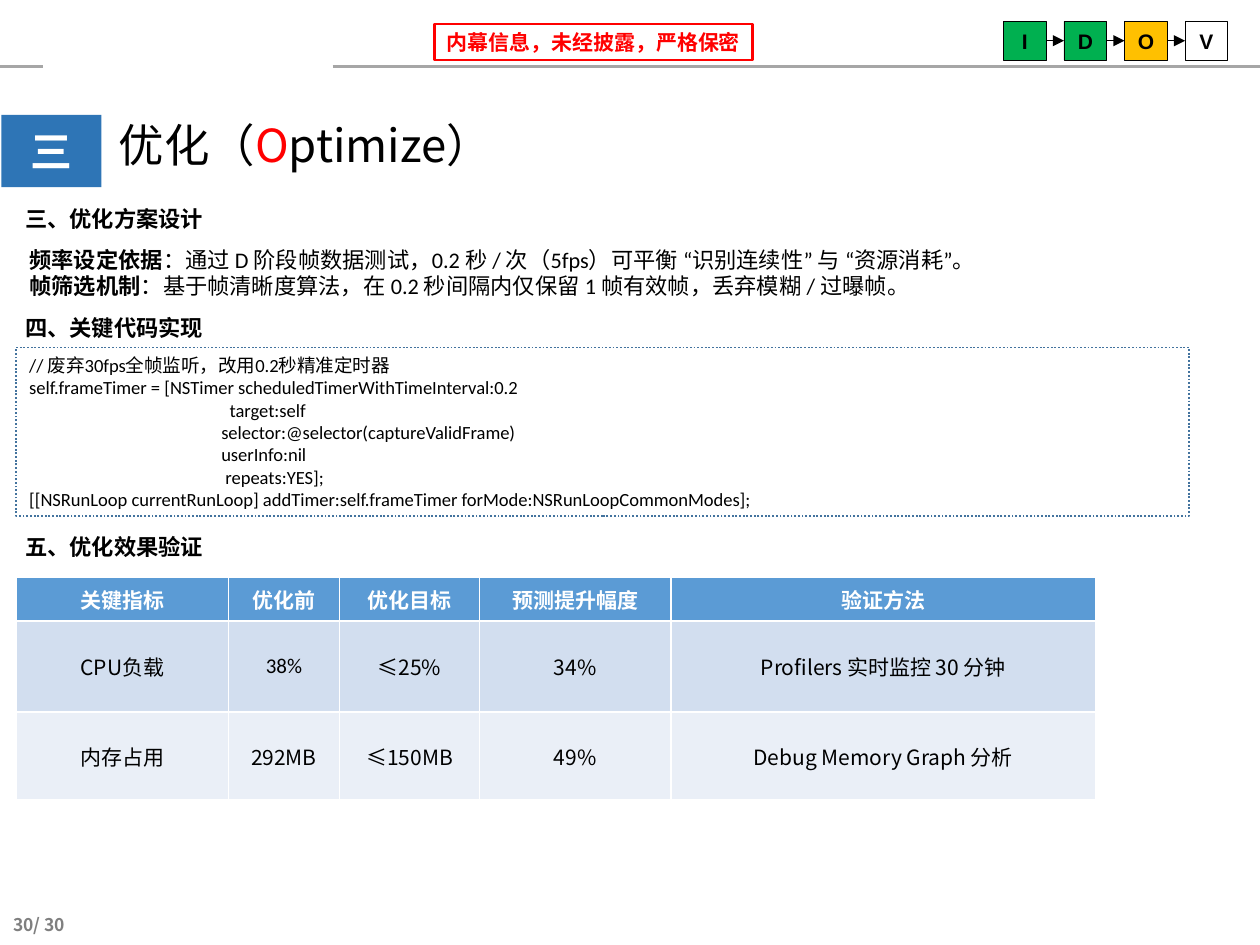
from lxml import etree
from pptx import Presentation
from pptx import util as u
from pptx.dml.color import RGBColor
from pptx.enum import dml, shapes, text
from pptx.oxml.ns import qn

COLUMNS, ROWS = 94.3, 70.7  # grid cells of a tenth of an inch
SANS, BODY, LABEL = "Noto Sans CJK SC", "Calibri", "Arial"
BLACK, WHITE, RED, GREY = "000000", "FFFFFF", "FF0000", "A6A6A6"
CENTER, LEFT = text.PP_ALIGN.CENTER, text.PP_ALIGN.LEFT
MIDDLE, TOP = text.MSO_ANCHOR.MIDDLE, text.MSO_ANCHOR.TOP


def color(value):
    return RGBColor.from_string(value)


def grid(cells):
    return u.Inches(cells / 10)


class SlideBuilder:
    def __init__(self, presentation):
        presentation.slide_width = grid(COLUMNS)
        presentation.slide_height = grid(ROWS)
        self.slide = presentation.slides.add_slide(presentation.slide_layouts[1])

    def fill_text(self, frame, lines, size, font=BODY, ink=BLACK, bold=False,
                  align=LEFT, anchor=TOP, spacing=1.0):
        """Fill a frame; a line is a string or a list of (text, overrides) runs."""
        frame.word_wrap = True
        frame.auto_size = text.MSO_AUTO_SIZE.NONE
        frame.vertical_anchor = anchor
        for index, line in enumerate(lines):
            paragraph = frame.paragraphs[0] if index == 0 else frame.add_paragraph()
            self.style(paragraph, size, font, ink, bold, align, spacing)
            for content, changes in [(line, {})] if isinstance(line, str) else line:
                run = paragraph.add_run()
                run.text = content
                if "ink" in changes:
                    run.font.color.rgb = color(changes["ink"])
                if "bold" in changes:
                    run.font.bold = changes["bold"]

    def style(self, paragraph, size, font, ink, bold, align, spacing=1.0):
        properties = paragraph._p.get_or_add_pPr()
        properties.set("marL", "0")
        properties.set("indent", "0")
        etree.SubElement(properties, qn("a:buNone"))
        paragraph.alignment = align
        paragraph.line_spacing = spacing
        paragraph.space_before = u.Pt(0)
        paragraph.font.size = u.Pt(size)
        paragraph.font.name = font
        paragraph.font.bold = bold
        paragraph.font.color.rgb = color(ink)
        defaults = properties.find(qn("a:defRPr"))
        defaults.find(qn("a:latin")).addnext(
            etree.Element(qn("a:ea"), typeface=font))

    def placeholder(self, index, box, lines, size, **style):
        shape = self.slide.placeholders[index]
        shape.left, shape.top, shape.width, shape.height = map(grid, box)
        self.fill_text(shape.text_frame, lines, size, **style)

    def label(self, box, line, size, **style):
        shape = self.slide.shapes.add_textbox(*map(grid, box))
        self.fill_text(shape.text_frame, [line], size, bold=True, **style)

    def box(self, box, lines, size, fill=None, line=None, width=0.5, dash=None,
            inset=0, **style):
        shape = self.slide.shapes.add_shape(shapes.MSO_SHAPE.RECTANGLE, *map(grid, box))
        shape.shadow.inherit = False
        if fill:
            shape.fill.solid()
            shape.fill.fore_color.rgb = color(fill)
        else:
            shape.fill.background()
        if line:
            shape.line.color.rgb = color(line)
            shape.line.width = u.Pt(width)
            if dash:
                shape.line.dash_style = dash
        else:
            shape.line.fill.background()
        frame = shape.text_frame
        frame.margin_left = frame.margin_right = grid(inset)
        frame.margin_top = frame.margin_bottom = grid(inset / 2)
        self.fill_text(frame, lines, size, **style)
        return shape

    def rule(self, start, end, row, ink, width):
        connector = self.slide.shapes.add_connector(
            shapes.MSO_CONNECTOR.STRAIGHT, *map(grid, (start, row, end, row)))
        connector.line.color.rgb = color(ink)
        connector.line.width = u.Pt(width)
        etree.SubElement(connector._element.spPr, qn("a:effectLst"))
        return connector

    def arrow(self, source, target):
        connector = self.rule(0, 0, 0, BLACK, 0.5)
        connector.begin_connect(source, 3)
        connector.end_connect(target, 1)
        line = connector._element.spPr.find(qn("a:ln"))
        etree.SubElement(line, qn("a:tailEnd"), type="triangle")

    def table(self, box, widths, heights, rows, fills):
        table = self.slide.shapes.add_table(
            len(rows), len(widths), *map(grid, box)).table
        for column, width in zip(table.columns, widths):
            column.width = grid(width)
        for row, height in zip(table.rows, heights):
            row.height = grid(height)
        for r, values in enumerate(rows):
            for c, value in enumerate(values):
                cell = table.cell(r, c)
                cell.fill.solid()
                cell.fill.fore_color.rgb = color(fills[r])
                cell.vertical_anchor = MIDDLE
                paragraph = cell.text_frame.paragraphs[0]
                font = BODY if value == "38%" else SANS
                self.style(paragraph, 11.3, font, BLACK if r else WHITE, r == 0, CENTER)
                paragraph.add_run().text = value


def add_header(builder):
    builder.box((32.5, 1.8, 23.8, 2.7), ["内幕信息，未经披露，严格保密"], 11.3,
                line=RED, width=1.5, ink=RED, bold=True, align=CENTER, anchor=MIDDLE)
    builder.rule(24.9, COLUMNS, 5, GREY, 1.5)
    builder.rule(0, 3.2, 5, GREY, 1.5)
    stages = [("I", "00B050"), ("D", "00B050"), ("O", "FFC000"), ("V", None)]
    boxes = [builder.box((75.1 + 4.53 * index, 1.6, 3.2, 2.9), [letter], 11.3,
                         fill=fill, line=BLACK, font=LABEL, bold=True,
                         align=CENTER, anchor=MIDDLE)
             for index, (letter, fill) in enumerate(stages)]
    for source, target in zip(boxes, boxes[1:]):
        builder.arrow(source, target)


def add_content(builder):
    builder.box((0.1, 8.6, 7.5, 5.4), ["三"], 22.6, fill="2E75B6", ink=WHITE,
                bold=True, align=CENTER, anchor=MIDDLE)
    builder.placeholder(0, (7.9, 8.7, 64.1, 5.1),
                        [[("优化（", {}), ("O", {"ink": RED}), ("ptimize）", {})]],
                        24.5, font=SANS, spacing=0.9)
    for row, heading in [(14.9, "三、优化方案设计"), (23, "四、关键代码实现"),
                         (39.4, "五、优化效果验证")]:
        builder.label((0.9, row, 40.9, 3), heading, 12)
    builder.placeholder(1, (1.2, 17.9, 84.7, 5), [
        [("频率设定依据", {"bold": True}),
         ("：通过 D 阶段帧数据测试，0.2 秒 / 次（5fps）可平衡 “识别连续性” 与 “资源消耗”。", {})],
        [("帧筛选机制", {"bold": True}),
         ("：基于帧清晰度算法，在 0.2 秒间隔内仅保留 1 帧有效帧，丢弃模糊 / 过曝帧。", {})],
    ], 12)
    builder.box((1.2, 26, 87.8, 12.6), [
        "// 废弃30fps全帧监听，改用0.2秒精准定时器",
        "self.frameTimer = [NSTimer scheduledTimerWithTimeInterval:0.2",
        "                                                target:self",
        "                                              selector:@selector(captureValidFrame)",
        "                                              userInfo:nil",
        "                                               repeats:YES];",
        "[[NSRunLoop currentRunLoop] addTimer:self.frameTimer forMode:NSRunLoopCommonModes];",
    ], 10, line="43739E", width=1, dash=dml.MSO_LINE.ROUND_DOT, inset=1)
    builder.table((1.2, 43.2, 80.8, 16.6), [15.9, 8.3, 10.5, 14.3, 31.8], [3.2, 6.8, 6.6], [
        ["关键指标", "优化前", "优化目标", "预测提升幅度", "验证方法"],
        ["CPU负载", "38%", "≤25%", "34%", "Profilers 实时监控 30 分钟"],
        ["内存占用", "292MB", "≤150MB", "49%", "Debug Memory Graph 分析"],
    ], ["5B9BD5", "D2DEEF", "EAEFF7"])
    builder.label((0, 67.9, 9, 2.7), "30/ 30", 9.4, font=SANS, ink="7F7F7F")


def main():
    presentation = Presentation()
    builder = SlideBuilder(presentation)
    add_header(builder)
    add_content(builder)
    presentation.save("out.pptx")


if __name__ == "__main__":
    main()
